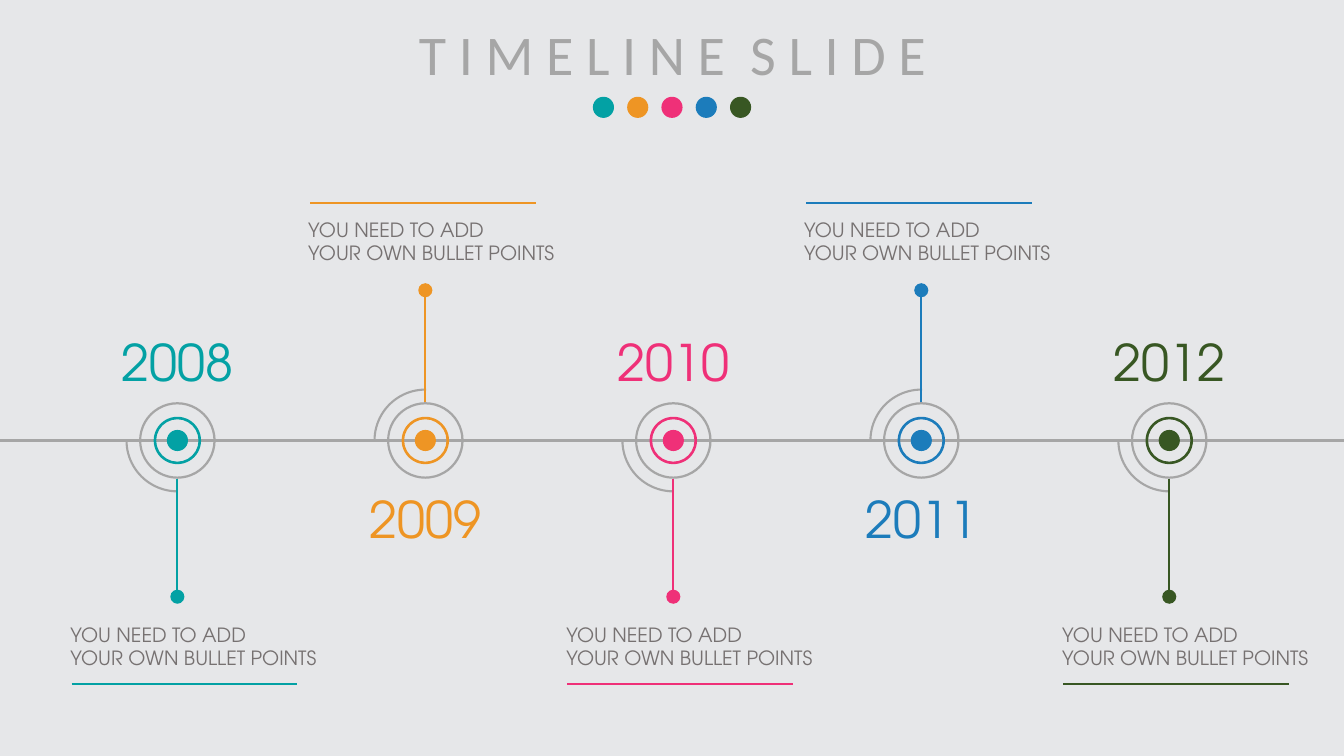
from dataclasses import dataclass

from lxml.etree import SubElement
from pptx import Presentation
from pptx.dml.color import RGBColor
from pptx.enum.shapes import MSO_CONNECTOR, MSO_SHAPE
from pptx.enum.text import MSO_ANCHOR, MSO_AUTO_SIZE, PP_ALIGN
from pptx.oxml.ns import qn
from pptx.util import Inches, Pt

TITLE = "T I M E L I N E  S L I D E"
CAPTION = ["YOU NEED TO ADD", "YOUR OWN BULLET POINTS"]
MILESTONES = [  # year, accent colour, side of the axis that holds the caption
    ("2008", "03A1A4", "below"),
    ("2009", "EE9524", "above"),
    ("2010", "EF3078", "below"),
    ("2011", "1C7CBB", "above"),
    ("2012", "385723", "below"),
]


@dataclass(frozen=True)
class Theme:
    background: str = "E6E7E9"
    gray: str = "A6A6A6"
    caption: str = "767171"
    title_font: str = "Calibri"
    body_font: str = "TeX Gyre Adventor"
    title_size: int = 40
    year_size: int = 36
    caption_size: int = 14
    line_width: float = 1.5


@dataclass(frozen=True)
class Side:
    """Vertical places and caption offsets from the column centre, in inches."""
    year_top: float
    stem_start: float
    stem_end: float
    dot: float
    caption_top: float
    rule: float
    caption_dx: float
    rule_dx: float
    arc_turn: int


THEME = Theme()
WIDTH, HEIGHT = 13.33, 7.5
AXIS = 4.37
FIRST_COLUMN, COLUMN_STEP = 0.132 * WIDTH, 0.1845 * WIDTH
SIDES = {
    "below": Side(3.24, 4.75, 5.88, 5.92, 6.13, 6.79, -1.16, -1.05, 0),
    "above": Side(4.79, 3.99, 2.86, 2.88, 2.11, 2.01, -1.26, -1.14, 90),
}
ARC, OUTER_RING, INNER_RING, CORE, STEM_DOT = 1.01, 0.76, 0.47, 0.21, 0.14
RULE_LENGTH = 2.24
LEGEND_STEP, LEGEND_Y = 0.34, 1.065


def rgb(color):
    return RGBColor.from_string(color)


def add_line(slide, start, end, color):
    line = slide.shapes.add_connector(
        MSO_CONNECTOR.STRAIGHT, *map(Inches, (*start, *end)))
    line.line.color.rgb = rgb(color)
    line.line.width = Pt(THEME.line_width)
    SubElement(line._element.spPr, qn("a:effectLst"))


def add_round(slide, kind, x, y, size, color, adjustments=()):
    """Add a round shape centred on x, y; an arc is outlined, others are filled."""
    shape = slide.shapes.add_shape(
        kind, *map(Inches, (x - size / 2, y - size / 2, size, size)))
    shape.shadow.inherit = False
    for index, value in enumerate(adjustments):
        shape.adjustments[index] = value
    if kind == MSO_SHAPE.ARC:
        shape.fill.background()
        shape.line.color.rgb = rgb(color)
        shape.line.width = Pt(THEME.line_width)
    else:
        shape.fill.solid()
        shape.fill.fore_color.rgb = rgb(color)
        shape.line.fill.background()
    return shape


def write(frame, lines, font_name, size, color, align):
    frame.word_wrap = True
    frame.text = "\n".join(lines)
    for paragraph in frame.paragraphs:
        paragraph.alignment = align
        paragraph.font.name = font_name
        paragraph.font.size = Pt(size)
        paragraph.font.color.rgb = rgb(color)


def add_text(slide, box, lines, size, color, align):
    frame = slide.shapes.add_textbox(*map(Inches, box)).text_frame
    write(frame, lines, THEME.body_font, size, color, align)


def add_title(slide):
    title = slide.shapes.title
    title.left, title.top, title.width, title.height = map(
        Inches, (2.69, 0.14, 7.96, 0.77))
    frame = title.text_frame
    frame.auto_size = MSO_AUTO_SIZE.NONE
    frame.vertical_anchor = MSO_ANCHOR.TOP
    write(frame, [TITLE], THEME.title_font, THEME.title_size, THEME.gray,
          PP_ALIGN.CENTER)


def add_milestone(slide, x, year, color, side):
    arc = add_round(slide, MSO_SHAPE.ARC, x, AXIS, ARC, THEME.gray, (54.2, 108.53))
    arc.rotation = side.arc_turn
    add_round(slide, MSO_SHAPE.OVAL, x, AXIS, CORE, color)
    add_round(slide, MSO_SHAPE.DONUT, x, AXIS, INNER_RING, color, (0.053,))
    add_round(slide, MSO_SHAPE.DONUT, x, AXIS, OUTER_RING, THEME.gray, (0.029,))
    add_line(slide, (x, side.stem_start), (x, side.stem_end), color)
    add_round(slide, MSO_SHAPE.OVAL, x, side.dot, STEM_DOT, color)
    add_text(slide, (x - 0.83, side.year_top, 1.66, 0.71), [year],
             THEME.year_size, color, PP_ALIGN.CENTER)
    add_text(slide, (x + side.caption_dx, side.caption_top, 3.5, 0.57), CAPTION,
             THEME.caption_size, THEME.caption, PP_ALIGN.LEFT)
    rule_left = x + side.rule_dx
    add_line(slide, (rule_left, side.rule), (rule_left + RULE_LENGTH, side.rule), color)


def main():
    deck = Presentation()
    deck.slide_width, deck.slide_height = Inches(WIDTH), Inches(HEIGHT)
    slide = deck.slides.add_slide(deck.slide_layouts.get_by_name("Title Only"))
    slide.background.fill.solid()
    slide.background.fill.fore_color.rgb = rgb(THEME.background)

    add_title(slide)
    add_line(slide, (0, AXIS), (WIDTH, AXIS), THEME.gray)
    middle = (len(MILESTONES) - 1) / 2
    for column, (year, color, side) in enumerate(MILESTONES):
        add_milestone(slide, FIRST_COLUMN + column * COLUMN_STEP, year, color, SIDES[side])
        legend_x = WIDTH / 2 + (column - middle) * LEGEND_STEP
        add_round(slide, MSO_SHAPE.OVAL, legend_x, LEGEND_Y, CORE, color)
    deck.save("out.pptx")


if __name__ == "__main__":
    main()
